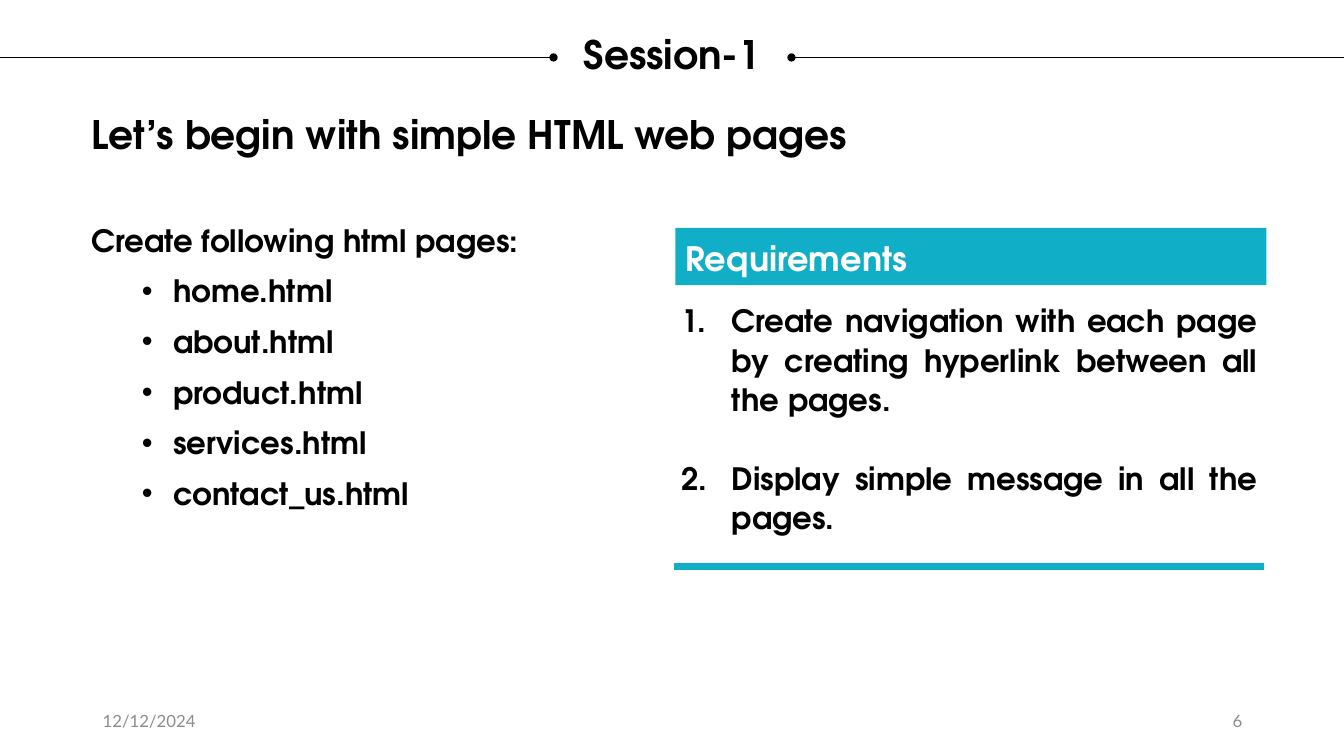
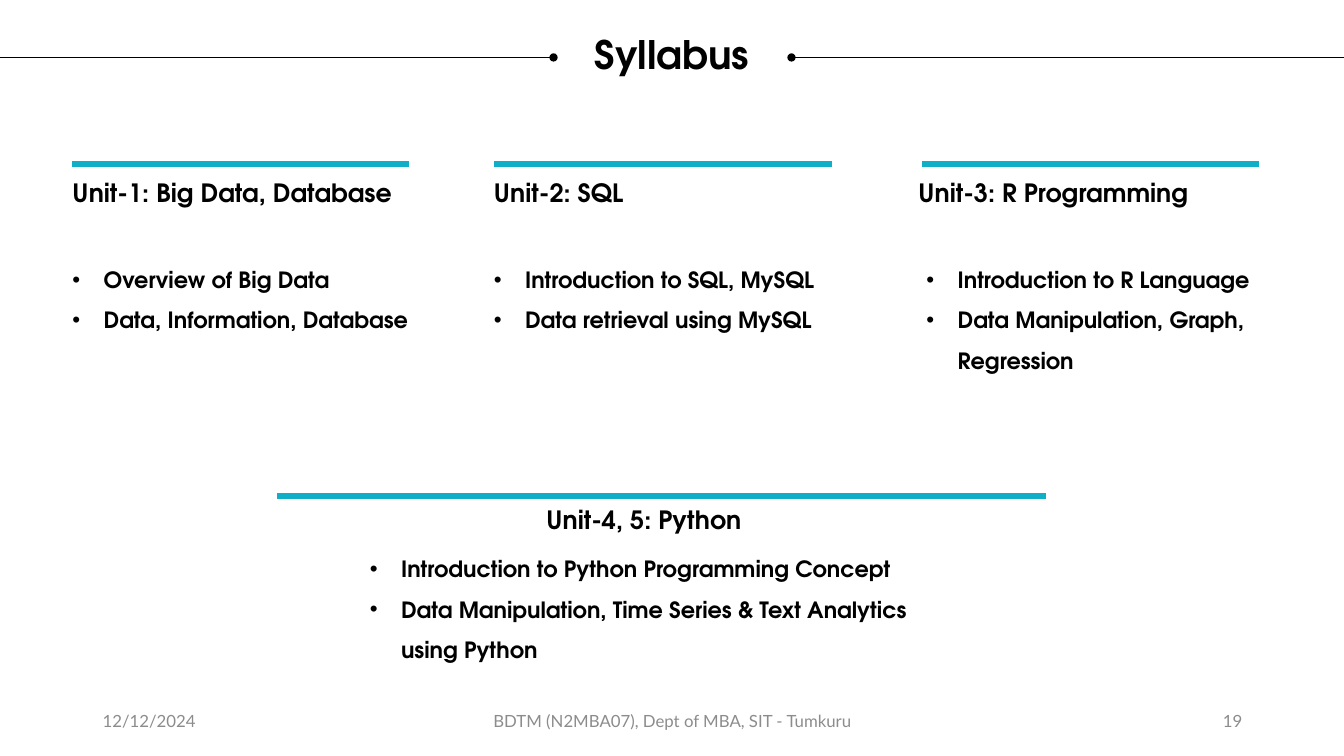
from lxml.etree import SubElement
from pptx import Presentation
from pptx.dml.color import RGBColor
from pptx.enum.shapes import MSO_CONNECTOR as Connector, MSO_SHAPE as Shape
from pptx.enum.text import MSO_ANCHOR as Anchor, MSO_AUTO_SIZE as AutoSize, PP_ALIGN as Align
from pptx.oxml.ns import qn
from pptx.util import Inches, Pt

WIDTH, HEIGHT = 13.33, 7.5
HEADING_FONT, FOOTER_FONT = "TeX Gyre Adventor", "Lato"
BLACK, WHITE, GREY, TEAL = "000000", "FFFFFF", "8C8C8C", "11AEC7"
COURSE = "BDTM (N2MBA07), Dept of MBA, SIT - Tumkuru"


def color(value):
    """Turn a hex string into a colour."""
    return RGBColor.from_string(value)


def style(para, size, ink=BLACK, font=HEADING_FONT, bold=True, align=Align.LEFT, spacing=1.0, after=0):
    """Format one whole paragraph."""
    para.alignment = align
    para.line_spacing = spacing
    para.space_after = Pt(after)
    para.font.name = font
    para.font.size = Pt(size)
    para.font.bold = bold
    para.font.color.rgb = color(ink)


def mark(para, indent, hanging, numbered=False):
    """Give a paragraph a hanging bullet or number."""
    props = para._p.get_or_add_pPr()
    props.set("marL", str(Inches(indent)))
    props.set("indent", str(-Inches(hanging)))
    if numbered:
        SubElement(props, qn("a:buAutoNum"), type="arabicPeriod")
    else:
        SubElement(props, qn("a:buFont"), typeface="Arial")
        SubElement(props, qn("a:buChar"), char="•")


def add_text(page, left, top, width, height, lines, anchor=Anchor.TOP, **look):
    """Add a wrapped text box and return its paragraphs."""
    box = page.shapes.add_textbox(Inches(left), Inches(top), Inches(width), Inches(height))
    frame = box.text_frame
    frame.word_wrap = True
    frame.vertical_anchor = anchor
    frame.text = "\n".join(lines)
    for para in frame.paragraphs:
        style(para, **look)
    return frame.paragraphs


def add_rule(page, left, top, width, ink=TEAL, weight=4.5, dot=None):
    """Draw a horizontal line, with an optional dot at one end."""
    rule = page.shapes.add_connector(
        Connector.STRAIGHT, Inches(left), Inches(top), Inches(left + width), Inches(top))
    rule.line.color.rgb = color(ink)
    rule.line.width = Pt(weight)
    if dot:
        SubElement(rule.line._get_or_add_ln(), qn(f"a:{dot}"), type="oval")
    SubElement(rule._element.spPr, qn("a:effectLst"))


def add_page(deck, title, number, footer=None):
    """Add a slide with the shared title band and footer."""
    page = deck.slides.add_slide(deck.slide_layouts[5])
    holder = page.shapes.title
    holder.left, holder.top = Inches(0.25), Inches(0.35)
    holder.width, holder.height = Inches(12.83), Inches(0.85)
    frame = holder.text_frame
    frame.text = title
    frame.auto_size = AutoSize.NONE
    frame.vertical_anchor = Anchor.TOP
    frame.margin_left = frame.margin_top = frame.margin_right = frame.margin_bottom = 0
    style(frame.paragraphs[0], 28, align=Align.CENTER, spacing=0.9)
    add_rule(page, 0, 0.57, 5.49, BLACK, 0.5, "tailEnd")
    add_rule(page, 7.85, 0.57, WIDTH - 7.85, BLACK, 0.5, "headEnd")
    parts = [(0.92, 3, "12/12/2024", Align.LEFT), (9.42, 3, number, Align.RIGHT)]
    if footer:
        parts.append((4.42, 4.5, footer, Align.CENTER))
    for left, width, text, align in parts:
        add_text(page, left, 6.95, width, 0.4, [text], Anchor.MIDDLE,
                 size=12, ink=GREY, font=FOOTER_FONT, bold=False, align=align)
    return page


def add_file_list(page, left, top, intro, files):
    """Add an introduction followed by bulleted file names."""
    paras = add_text(page, left, top, 6.67, 3.01, [intro, *files], size=22, spacing=1.07, after=8)
    for para in paras[1:]:
        mark(para, 0.81, 0.31)


def add_requirements(page, left, top, width, items):
    """Add a headed panel of numbered requirements."""
    band = page.shapes.add_shape(
        Shape.RECTANGLE, Inches(left), Inches(top), Inches(width), Inches(0.57))
    band.shadow.inherit = False
    band.fill.solid()
    band.fill.fore_color.rgb = color(TEAL)
    band.line.fill.background()
    frame = band.text_frame
    frame.margin_top = frame.margin_bottom = Inches(0.1)
    frame.vertical_anchor = Anchor.MIDDLE
    frame.text = "Requirements"
    style(frame.paragraphs[0], 24, WHITE, align=Align.JUSTIFY, spacing=1.07)
    paras = add_text(page, left - 0.04, top + 0.66, width + 0.05, 2.45, items,
                     size=22, align=Align.JUSTIFY, spacing=1.07)
    for para in paras:
        mark(para, 0.5, 0.5, numbered=True)
    for para in paras[1:]:
        para.space_before = Pt(28)
    add_rule(page, left - 0.02, top + 3.36, width)


def add_unit(page, left, top, width, heading, topics, heading_shift, topics_shift, topics_width):
    """Add a syllabus unit: rule, heading and bulleted topics."""
    add_rule(page, left, top, width)
    add_text(page, left + heading_shift[0], top + heading_shift[1], 3.61, 0.4, [heading], size=18)
    paras = add_text(page, left + topics_shift[0], top + topics_shift[1], topics_width, 1.26,
                     topics, size=16, spacing=1.5)
    for para in paras:
        mark(para, 0.31, 0.31)


def build_session(deck):
    """Build the session exercise slide."""
    page = add_page(deck, "Session-1", "6")
    add_text(page, 0.81, 0.81, 11.08, 0.72, ["Let’s begin with simple HTML web pages"],
             size=28, spacing=1.5)
    names = ["home", "about", "product", "services", "contact_us"]
    add_file_list(page, 0.81, 2.12, "Create following html pages:",
                  [f"{name}.html" for name in names])
    add_requirements(page, 6.7, 2.26, 5.86, [
        "Create navigation with each page by creating hyperlink between all the pages.",
        "Display simple message in all the pages."])


def build_syllabus(deck):
    """Build the syllabus slide."""
    page = add_page(deck, "Syllabus", "19", COURSE)
    columns = [
        (0.71, -0.09, -0.09, "Unit-1: Big Data, Database",
         ["Overview of Big Data", "Data, Information, Database"]),
        (4.9, -0.1, -0.1, "Unit-2: SQL",
         ["Introduction to SQL, MySQL", "Data retrieval using MySQL"]),
        (9.14, -0.13, -0.05, "Unit-3: R Programming",
         ["Introduction to R Language", "Data Manipulation, Graph, Regression"]),
    ]
    for left, heading_dx, topics_dx, heading, topics in columns:
        add_unit(page, left, 1.63, 3.35, heading, topics,
                 (heading_dx, 0.08), (topics_dx, 0.83), 3.76)
    add_unit(page, 2.75, 4.92, 7.62, "Unit-4, 5: Python",
             ["Introduction to Python Programming Concept",
              "Data Manipulation, Time Series & Text Analytics using Python"],
             (2.57, 0.03), (0.82, 0.41), 6.06)


def main():
    """Build and save the deck."""
    deck = Presentation()
    deck.slide_width, deck.slide_height = Inches(WIDTH), Inches(HEIGHT)
    build_session(deck)
    build_syllabus(deck)
    deck.save("out.pptx")


if __name__ == "__main__":
    main()
